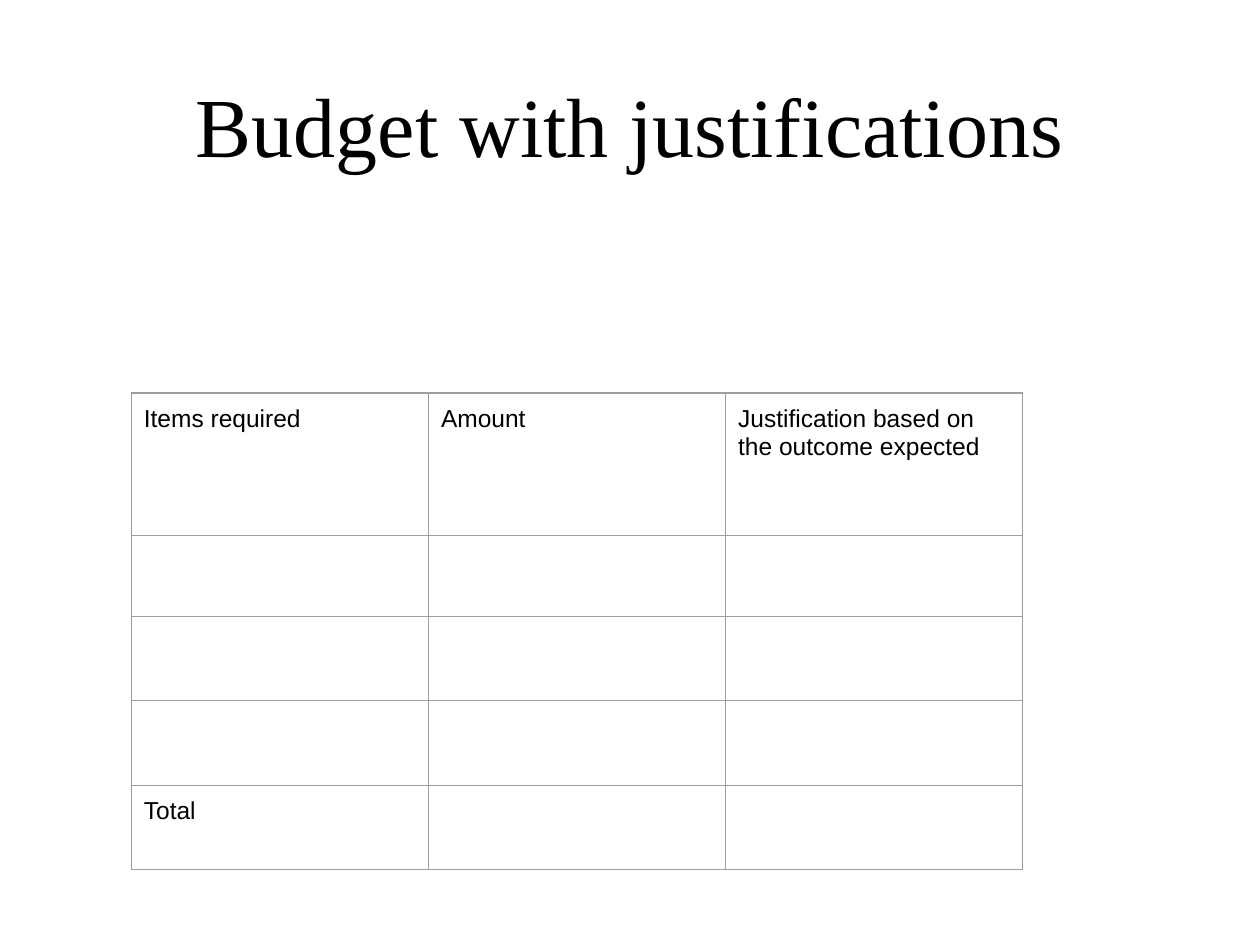
import dataclasses

import pptx
import pptx.dml.color
import pptx.enum.text
import pptx.oxml
import pptx.oxml.ns
import pptx.util

Pt = pptx.util.Pt
COLORS = {"ink": "000000", "paper": "FFFFFF", "rule": "9E9E9E"}
COLUMN_WIDTH = 169.8
CELL_MARGIN = 7.2
RULE_WIDTH = 0.75


@dataclasses.dataclass(frozen=True)
class BudgetRow:
    """One row of the budget table."""
    height: float
    item: str = ""
    amount: str = ""
    justification: str = ""


BUDGET = [
    BudgetRow(81.5, "Items required", "Amount",
              "Justification based on the outcome expected"),
    BudgetRow(46.2),
    BudgetRow(48.2),
    BudgetRow(48.2),
    BudgetRow(48.2, "Total"),
]


def rgb(name: str) -> pptx.dml.color.RGBColor:
    """Look up a named colour."""
    return pptx.dml.color.RGBColor.from_string(COLORS[name])


def set_font(paragraph, family: str, size: float) -> None:
    """Give a paragraph its font, size and ink."""
    paragraph.font.name = family
    paragraph.font.size = Pt(size)
    paragraph.font.color.rgb = rgb("ink")


def add_title(slide, text: str) -> None:
    """Add the centred slide title."""
    title = slide.shapes.add_textbox(Pt(36), Pt(21.6), Pt(648), Pt(90))
    frame = title.text_frame
    frame.word_wrap = True
    frame.vertical_anchor = pptx.enum.text.MSO_ANCHOR.MIDDLE
    heading = frame.paragraphs[0]
    heading.text = text
    heading.alignment = pptx.enum.text.PP_ALIGN.CENTER
    heading.line_spacing = 1.15
    heading.space_after = Pt(10)
    set_font(heading, "Times New Roman", 48)


def add_borders(cell) -> None:
    """Rule all four sides of a cell."""
    properties = cell._tc.get_or_add_tcPr()
    for position, side in enumerate(("lnL", "lnR", "lnT", "lnB")):
        properties.insert(position, pptx.oxml.parse_xml(
            f'<a:{side} {pptx.oxml.ns.nsdecls("a")} w="{Pt(RULE_WIDTH)}">'
            f'<a:solidFill><a:srgbClr val="{COLORS["rule"]}"/></a:solidFill>'
            f'</a:{side}>'))


def fill_cell(cell, text: str) -> None:
    """Write and style one table cell."""
    cell.margin_left = cell.margin_right = Pt(CELL_MARGIN)
    cell.margin_top = cell.margin_bottom = Pt(CELL_MARGIN)
    cell.fill.solid()
    cell.fill.fore_color.rgb = rgb("paper")
    cell.text = text
    set_font(cell.text_frame.paragraphs[0], "Arial", 14)
    add_borders(cell)


def add_budget(slide, rows: list[BudgetRow]) -> None:
    """Add the ruled budget table."""
    budget = slide.shapes.add_table(
        len(rows), 3, Pt(75), Pt(224.6), Pt(3 * COLUMN_WIDTH),
        Pt(sum(row.height for row in rows))).table
    budget.first_row = budget.horz_banding = False
    for column in budget.columns:
        column.width = Pt(COLUMN_WIDTH)
    for r, row in enumerate(rows):
        budget.rows[r].height = Pt(row.height)
        for c, text in enumerate((row.item, row.amount, row.justification)):
            fill_cell(budget.cell(r, c), text)


def main() -> None:
    """Build and save the slide."""
    deck = pptx.Presentation()
    deck.slide_width, deck.slide_height = Pt(720), Pt(540)
    slide = deck.slides.add_slide(deck.slide_layouts[6])
    add_title(slide, "Budget with justifications")
    add_budget(slide, BUDGET)
    deck.save("out.pptx")


main()
